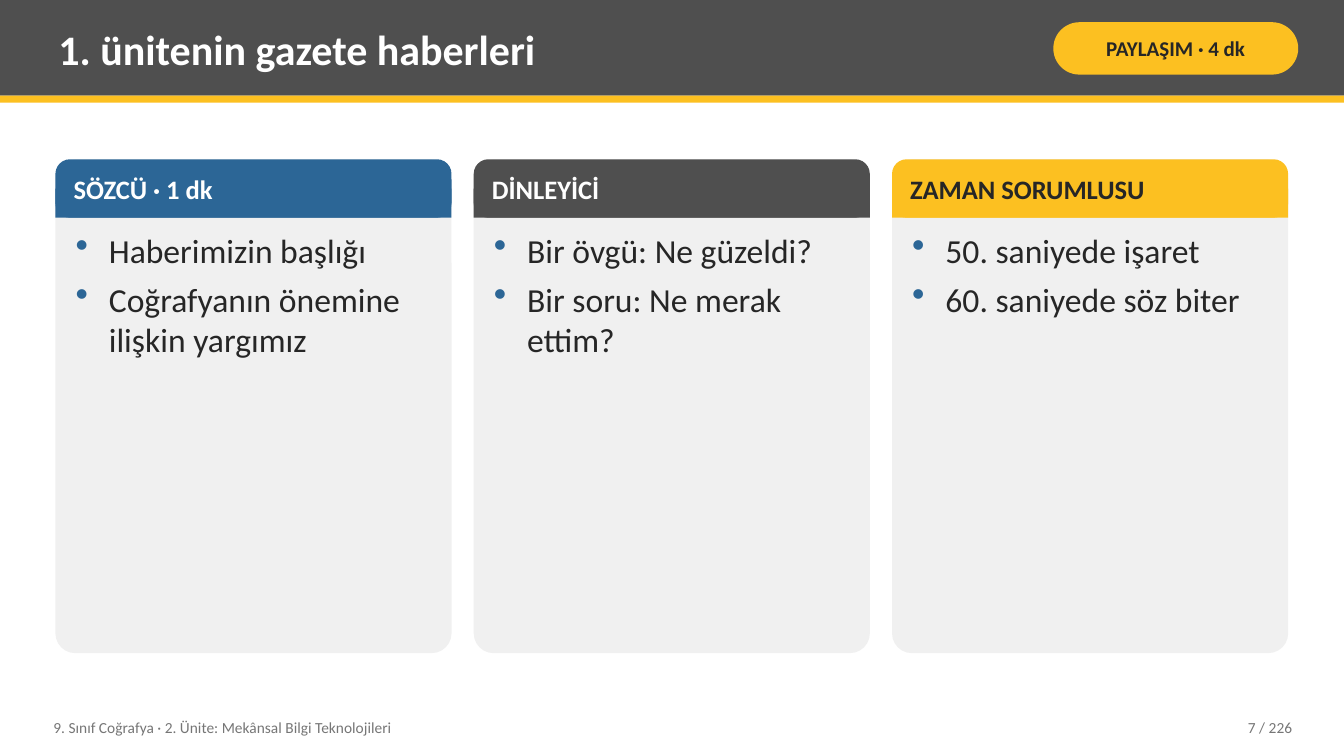
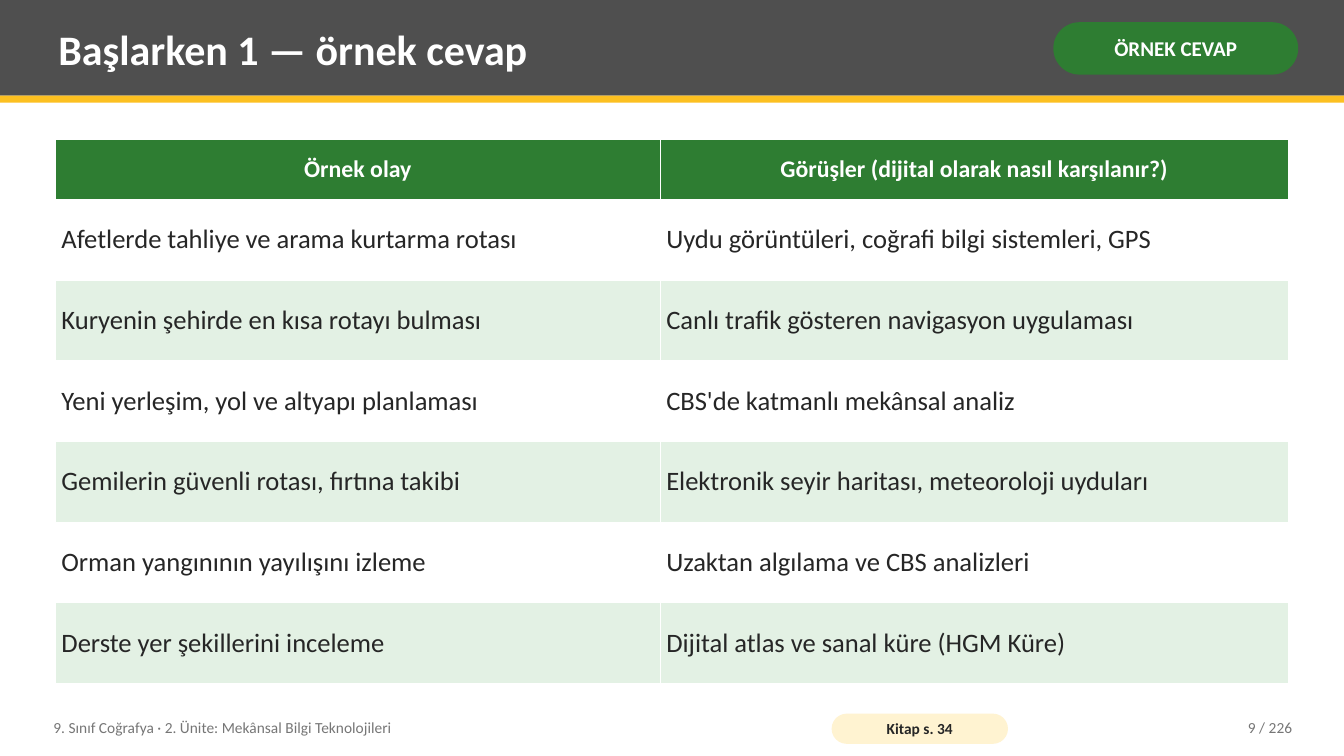
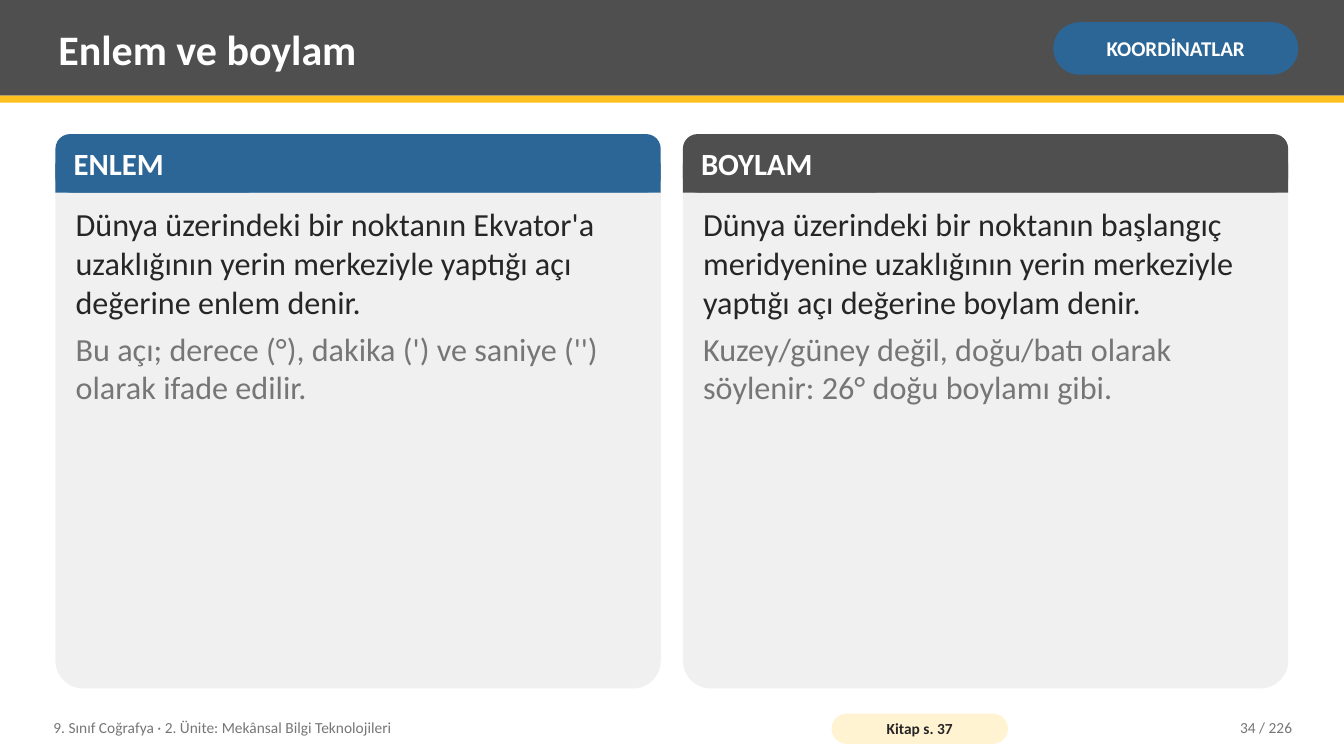
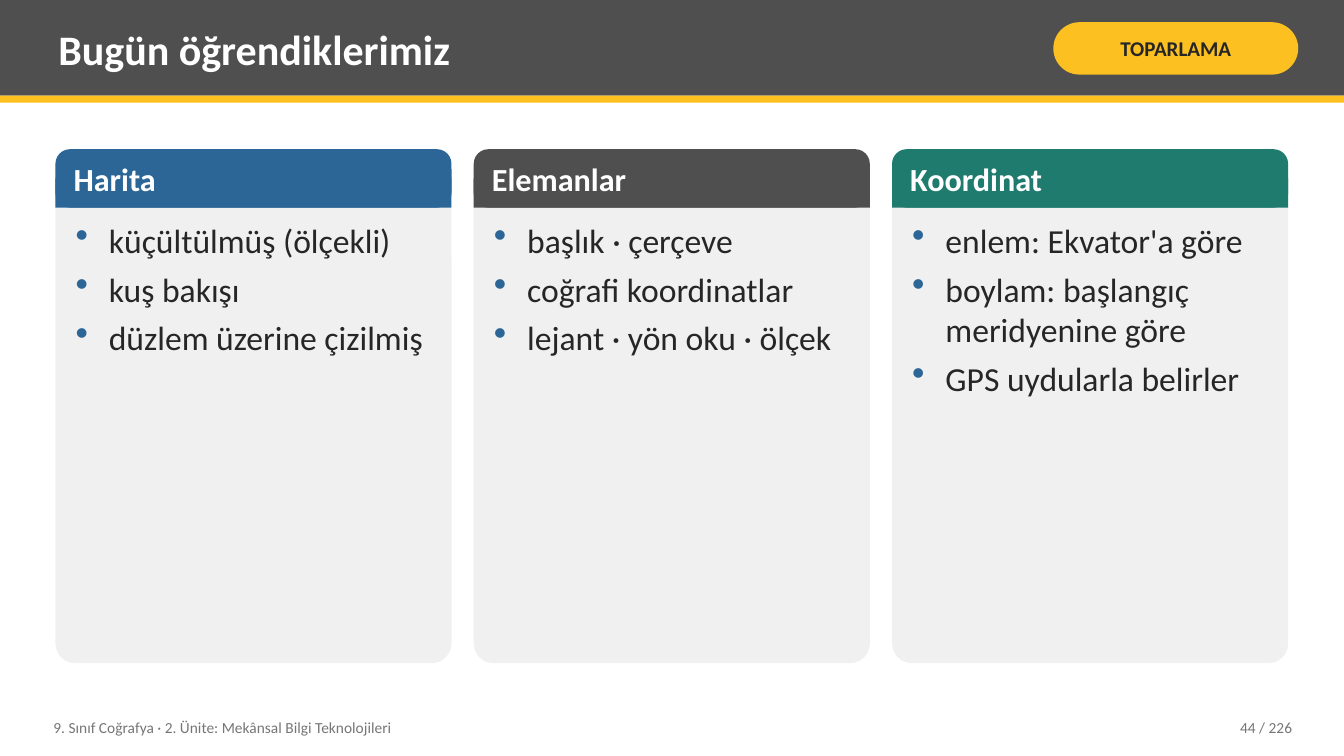
from dataclasses import dataclass
from typing import Optional

from lxml import etree
from pptx import Presentation
from pptx.dml.color import RGBColor
from pptx.enum.shapes import MSO_SHAPE
from pptx.enum.text import MSO_ANCHOR, PP_ALIGN
from pptx.oxml.ns import qn
from pptx.util import Pt

RECTANGLE = MSO_SHAPE.RECTANGLE
ROUNDED = MSO_SHAPE.ROUNDED_RECTANGLE
TOP, MIDDLE = MSO_ANCHOR.TOP, MSO_ANCHOR.MIDDLE
LEFT, CENTER, RIGHT = PP_ALIGN.LEFT, PP_ALIGN.CENTER, PP_ALIGN.RIGHT


@dataclass(frozen=True)
class Theme:
    font: str = "Calibri"
    # Colours
    charcoal: str = "4F4F4F"
    yellow: str = "FCC021"
    pale_yellow: str = "FFF3D1"
    blue: str = "2C6696"
    green: str = "2E7D32"
    pale_green: str = "E3F1E4"
    teal: str = "1E7B6E"
    panel: str = "F0F0F0"
    white: str = "FFFFFF"
    ink: str = "262626"
    muted: str = "767676"
    # Type sizes
    title_size: float = 30
    tag_size: float = 15
    bullet_size: float = 24
    prose_size: float = 23
    table_head_size: float = 17
    table_body_size: float = 19
    footer_size: float = 11

    def ink_on(self, fill: str) -> str:
        return self.ink if fill in (self.yellow, self.pale_yellow) else self.white


THEME = Theme()

# Page geometry, in points
SLIDE_WIDTH, SLIDE_HEIGHT = 960, 540
CONTENT_LEFT, CONTENT_WIDTH = 39.6, 880.56
CARD_GAP = 15.84
CARD_HEAD_HEIGHT = 41.76
BULLET_INDENT = 23.76
PARAGRAPH_GAP = 6
TEXT_INSETS = (5.76, 2.88)
FOOTER = "9. Sınıf Coğrafya · 2. Ünite: Mekânsal Bilgi Teknolojileri"
PAGE_COUNT = 226


@dataclass(frozen=True)
class Box:
    left: float
    top: float
    width: float
    height: float

    def lengths(self) -> tuple:
        return Pt(self.left), Pt(self.top), Pt(self.width), Pt(self.height)


@dataclass(frozen=True)
class Line:
    text: str
    size: float
    color: str
    bold: bool = False
    align: PP_ALIGN = LEFT
    bullet: bool = False


@dataclass(frozen=True)
class Card:
    heading: str
    color: str
    lines: list[Line]


@dataclass(frozen=True)
class Page:
    number: int
    title: str
    tag: str
    tag_color: str
    book_page: Optional[int] = None


# Text and shape helpers
def add_bullet(paragraph) -> None:
    properties = paragraph._p.get_or_add_pPr()
    properties.set("marL", str(Pt(BULLET_INDENT)))
    properties.set("indent", str(-Pt(BULLET_INDENT)))
    color = etree.SubElement(properties, qn("a:buClr"))
    etree.SubElement(color, qn("a:srgbClr"), val=THEME.blue)
    etree.SubElement(properties, qn("a:buSzPct"), val="110000")
    etree.SubElement(properties, qn("a:buChar"), char="•")


def write_lines(frame, lines: list[Line]) -> None:
    for index, line in enumerate(lines):
        paragraph = frame.paragraphs[0] if index == 0 else frame.add_paragraph()
        paragraph.text = line.text
        if line.bullet:
            add_bullet(paragraph)
        paragraph.alignment = line.align
        if index < len(lines) - 1:
            paragraph.space_after = Pt(PARAGRAPH_GAP)
        font = paragraph.font
        font.name, font.size, font.bold = THEME.font, Pt(line.size), line.bold
        font.color.rgb = RGBColor.from_string(line.color)


def fill_frame(frame, lines: list[Line], anchor: MSO_ANCHOR,
               insets: tuple[float, float]) -> None:
    frame.word_wrap = True
    frame.vertical_anchor = anchor
    frame.margin_left = frame.margin_right = Pt(insets[0])
    frame.margin_top = frame.margin_bottom = Pt(insets[1])
    write_lines(frame, lines)


def add_text(slide, box: Box, lines: list[Line], anchor: MSO_ANCHOR = MIDDLE) -> None:
    text_box = slide.shapes.add_textbox(*box.lengths())
    fill_frame(text_box.text_frame, lines, anchor, TEXT_INSETS)


def add_block(slide, box: Box, color: str, rounding: float = 0):
    kind = ROUNDED if rounding else RECTANGLE
    shape = slide.shapes.add_shape(kind, *box.lengths())
    if rounding:
        shape.adjustments[0] = rounding
    shape.shadow.inherit = False
    shape.fill.solid()
    shape.fill.fore_color.rgb = RGBColor.from_string(color)
    shape.line.fill.background()
    return shape


def add_pill(slide, box: Box, color: str, text: str, size: float,
             insets: tuple[float, float]) -> None:
    pill = add_block(slide, box, color, 0.5)
    label = Line(text, size, THEME.ink_on(color), True, CENTER)
    fill_frame(pill.text_frame, [label], MIDDLE, insets)


# Frame shared by all slides
def add_page(presentation, page: Page):
    slide = presentation.slides.add_slide(presentation.slide_layouts[6])
    # Title band
    add_block(slide, Box(0, 0, SLIDE_WIDTH, 68.4), THEME.charcoal)
    add_block(slide, Box(0, 68.4, SLIDE_WIDTH, 5.04), THEME.yellow)
    add_text(slide, Box(36, 5.04, 702, 59.04),
             [Line(page.title, THEME.title_size, THEME.white, True)])
    add_pill(slide, Box(752.4, 15.84, 174.96, 37.44), page.tag_color, page.tag,
             THEME.tag_size, (3.6, 1.44))
    # Footer
    add_text(slide, Box(32.4, 506.88, 547.2, 25.92),
             [Line(FOOTER, THEME.footer_size, THEME.muted)])
    if page.book_page:
        add_pill(slide, Box(594, 509.76, 126, 21.6), THEME.pale_yellow,
                 f"Kitap s. {page.book_page}", THEME.footer_size, (2.88, 0))
    add_text(slide, Box(813.6, 506.88, 115.2, 25.92),
             [Line(f"{page.number} / {PAGE_COUNT}", THEME.footer_size, THEME.muted,
                   align=RIGHT)])
    return slide


# Cards
def add_card(slide, box: Box, card: Card, heading_size: float) -> None:
    half = CARD_HEAD_HEIGHT / 2
    add_block(slide, box, THEME.panel, 0.05)
    add_block(slide, Box(box.left, box.top, box.width, CARD_HEAD_HEIGHT),
              card.color, 0.25)
    add_block(slide, Box(box.left, box.top + half, box.width, half), card.color)
    add_text(slide, Box(box.left + 7.2, box.top, box.width - 14.4, CARD_HEAD_HEIGHT),
             [Line(card.heading, heading_size, THEME.ink_on(card.color), True)])
    body = Box(box.left + 8.64, box.top + CARD_HEAD_HEIGHT + 5.76,
               box.width - 17.28, box.height - CARD_HEAD_HEIGHT - 11.52)
    add_text(slide, body, card.lines, TOP)


def add_cards(slide, top: float, height: float, heading_size: float,
              cards: list[Card]) -> None:
    width = (CONTENT_WIDTH - CARD_GAP * (len(cards) - 1)) / len(cards)
    for index, card in enumerate(cards):
        left = CONTENT_LEFT + index * (width + CARD_GAP)
        add_card(slide, Box(left, top, width, height), card, heading_size)


def bullets(*texts: str) -> list[Line]:
    return [Line(text, THEME.bullet_size, THEME.ink, bullet=True) for text in texts]


def definition(text: str, note: str) -> list[Line]:
    return [Line(text, THEME.prose_size, THEME.ink),
            Line(note, THEME.prose_size, THEME.muted)]


# Table
def style_cell(cell, line: Line, fill: str) -> None:
    properties = cell._tc.get_or_add_tcPr()
    for side in ("a:lnL", "a:lnR", "a:lnT", "a:lnB"):
        border = etree.SubElement(properties, qn(side), w=str(Pt(0.96)))
        solid = etree.SubElement(border, qn("a:solidFill"))
        etree.SubElement(solid, qn("a:srgbClr"), val=THEME.white)
    cell.fill.solid()
    cell.fill.fore_color.rgb = RGBColor.from_string(fill)
    cell.vertical_anchor = MIDDLE
    cell.margin_left = cell.margin_right = Pt(4.32)
    cell.margin_top = cell.margin_bottom = Pt(3.6)
    write_lines(cell.text_frame, [line])


def add_answer_table(slide, rows: list[tuple[str, str]]) -> None:
    head_height, row_height = 43.2, 57.6
    box = Box(CONTENT_LEFT, 99.36, CONTENT_WIDTH,
              head_height + row_height * (len(rows) - 1))
    table = slide.shapes.add_table(len(rows), 2, *box.lengths()).table
    for column, width in zip(table.columns, (432, CONTENT_WIDTH - 432)):
        column.width = Pt(width)
    for row_index, texts in enumerate(rows):
        is_head = row_index == 0
        table.rows[row_index].height = Pt(head_height if is_head else row_height)
        band = THEME.white if row_index % 2 else THEME.pale_green
        for column_index, text in enumerate(texts):
            if is_head:
                line = Line(text, THEME.table_head_size, THEME.white, True, CENTER)
            else:
                line = Line(text, THEME.table_body_size, THEME.ink)
            style_cell(table.cell(row_index, column_index), line,
                       THEME.green if is_head else band)


# Slides
def main() -> None:
    presentation = Presentation()
    presentation.slide_width = Pt(SLIDE_WIDTH)
    presentation.slide_height = Pt(SLIDE_HEIGHT)

    # News sharing
    slide = add_page(presentation, Page(
        7, "1. ünitenin gazete haberleri", "PAYLAŞIM · 4 dk", THEME.yellow))
    add_cards(slide, 113.76, 352.8, 19, [
        Card("SÖZCÜ · 1 dk", THEME.blue, bullets(
            "Haberimizin başlığı", "Coğrafyanın önemine ilişkin yargımız")),
        Card("DİNLEYİCİ", THEME.charcoal, bullets(
            "Bir övgü: Ne güzeldi?", "Bir soru: Ne merak ettim?")),
        Card("ZAMAN SORUMLUSU", THEME.yellow, bullets(
            "50. saniyede işaret", "60. saniyede söz biter")),
    ])

    # Sample answers
    slide = add_page(presentation, Page(
        9, "Başlarken 1 — örnek cevap", "ÖRNEK CEVAP", THEME.green, 34))
    add_answer_table(slide, [
        ("Örnek olay", "Görüşler (dijital olarak nasıl karşılanır?)"),
        ("Afetlerde tahliye ve arama kurtarma rotası",
         "Uydu görüntüleri, coğrafi bilgi sistemleri, GPS"),
        ("Kuryenin şehirde en kısa rotayı bulması",
         "Canlı trafik gösteren navigasyon uygulaması"),
        ("Yeni yerleşim, yol ve altyapı planlaması",
         "CBS'de katmanlı mekânsal analiz"),
        ("Gemilerin güvenli rotası, fırtına takibi",
         "Elektronik seyir haritası, meteoroloji uyduları"),
        ("Orman yangınının yayılışını izleme",
         "Uzaktan algılama ve CBS analizleri"),
        ("Derste yer şekillerini inceleme",
         "Dijital atlas ve sanal küre (HGM Küre)"),
    ])

    # Latitude and longitude
    slide = add_page(presentation, Page(
        34, "Enlem ve boylam", "KOORDİNATLAR", THEME.blue, 37))
    add_cards(slide, 95.76, 396, 22, [
        Card("ENLEM", THEME.blue, definition(
            "Dünya üzerindeki bir noktanın Ekvator'a uzaklığının yerin merkeziyle "
            "yaptığı açı değerine enlem denir.",
            "Bu açı; derece (°), dakika (') ve saniye ('') olarak ifade edilir.")),
        Card("BOYLAM", THEME.charcoal, definition(
            "Dünya üzerindeki bir noktanın başlangıç meridyenine uzaklığının yerin "
            "merkeziyle yaptığı açı değerine boylam denir.",
            "Kuzey/güney değil, doğu/batı olarak söylenir: 26° doğu boylamı gibi.")),
    ])

    # Summary
    slide = add_page(presentation, Page(
        44, "Bugün öğrendiklerimiz", "TOPARLAMA", THEME.yellow))
    add_cards(slide, 106.56, 367.2, 23, [
        Card("Harita", THEME.blue, bullets(
            "küçültülmüş (ölçekli)", "kuş bakışı", "düzlem üzerine çizilmiş")),
        Card("Elemanlar", THEME.charcoal, bullets(
            "başlık · çerçeve", "coğrafi koordinatlar", "lejant · yön oku · ölçek")),
        Card("Koordinat", THEME.teal, bullets(
            "enlem: Ekvator'a göre", "boylam: başlangıç meridyenine göre",
            "GPS uydularla belirler")),
    ])

    presentation.save("out.pptx")


if __name__ == "__main__":
    main()
